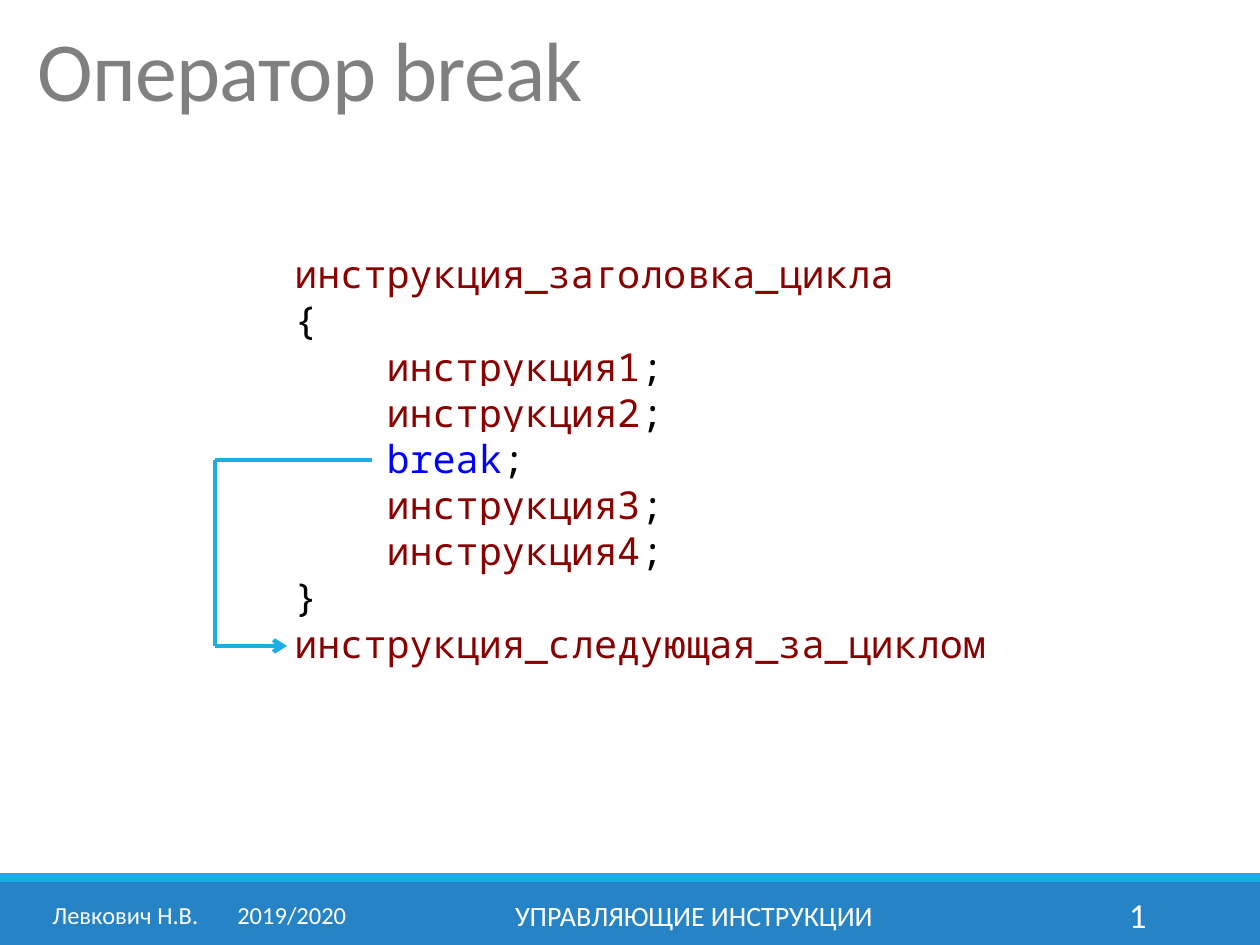
from dataclasses import dataclass
from typing import NamedTuple

from lxml import etree
from pptx import Presentation, util as u
from pptx.dml.color import RGBColor
from pptx.enum import shapes, text
from pptx.oxml.ns import qn

PX_PER_INCH = 126


@dataclass(frozen=True)
class Theme:
    bar: str = "2683C6"
    accent: str = "1CADE4"
    title: str = "808080"
    name: str = "880000"
    keyword: str = "0000FF"
    code: str = "000000"
    white: str = "FFFFFF"
    body_font: str = "Calibri"
    code_font: str = "Noto Sans Mono"
    title_size: int = 48
    code_size: int = 22
    line_width: float = 2.5


THEME = Theme()


class Box(NamedTuple):
    left: int
    top: int
    width: int
    height: int


class Token(NamedTuple):
    text: str
    color: str


class Segment(NamedTuple):
    start: tuple[int, int]
    end: tuple[int, int]
    arrow: bool = False


class Caption(NamedTuple):
    text: str
    box: Box
    size: int
    align: text.PP_ALIGN
    tab: int = 0


def px(value: int) -> u.Emu:
    return u.Emu(round(value * 914400 / PX_PER_INCH))


def place(box: Box) -> list[u.Emu]:
    return [px(value) for value in box]


def rgb(color: str) -> RGBColor:
    return RGBColor.from_string(color)


def style(run, font: str, size: int, color: str) -> None:
    run.font.name = font
    run.font.size = u.Pt(size)
    run.font.color.rgb = rgb(color)


def draw_bar(slide, box: Box, color: str) -> None:
    shape = slide.shapes.add_shape(shapes.MSO_SHAPE.RECTANGLE, *place(box))
    shape.shadow.inherit = False
    shape.fill.solid()
    shape.fill.fore_color.rgb = rgb(color)
    shape.line.fill.background()


def draw_title(slide, title: str, box: Box) -> None:
    shape = slide.shapes.title
    shape.left, shape.top, shape.width, shape.height = place(box)
    frame = shape.text_frame
    frame.text = title
    frame.vertical_anchor = text.MSO_ANCHOR.MIDDLE
    paragraph = frame.paragraphs[0]
    paragraph.alignment = text.PP_ALIGN.LEFT
    paragraph.line_spacing = 0.85
    run = paragraph.runs[0]
    style(run, THEME.body_font, THEME.title_size, THEME.title)
    run.font._element.set("spc", "-50")


def highlight(run, color: str) -> None:
    mark = etree.Element(qn("a:highlight"))
    etree.SubElement(mark, qn("a:srgbClr")).set("val", color)
    run.font._element.find(qn("a:solidFill")).addnext(mark)


def draw_code(slide, lines: list[list[Token]], box: Box) -> None:
    frame = slide.shapes.add_textbox(*place(box)).text_frame
    frame.word_wrap = True
    frame.auto_size = text.MSO_AUTO_SIZE.SHAPE_TO_FIT_TEXT
    for index, line in enumerate(lines):
        paragraph = frame.add_paragraph() if index else frame.paragraphs[0]
        for token in line:
            run = paragraph.add_run()
            run.text = token.text
            style(run, THEME.code_font, THEME.code_size, token.color)
            highlight(run, THEME.white)


def draw_segment(group, segment: Segment) -> None:
    connector = group.shapes.add_connector(
        shapes.MSO_CONNECTOR.STRAIGHT,
        *(px(value) for value in segment.start + segment.end))
    connector.line.color.rgb = rgb(THEME.accent)
    connector.line.width = u.Pt(THEME.line_width)
    if segment.arrow:
        line = connector.line._get_or_add_ln()
        etree.SubElement(line, qn("a:tailEnd")).set("type", "arrow")
    etree.SubElement(connector._element.spPr, qn("a:effectLst"))


def draw_caption(slide, caption: Caption) -> None:
    frame = slide.shapes.add_textbox(*place(caption.box)).text_frame
    frame.word_wrap = True
    frame.vertical_anchor = text.MSO_ANCHOR.MIDDLE
    frame.text = caption.text
    paragraph = frame.paragraphs[0]
    paragraph.alignment = caption.align
    if caption.tab:
        tabs = etree.SubElement(paragraph._p.get_or_add_pPr(), qn("a:tabLst"))
        tab = etree.SubElement(tabs, qn("a:tab"))
        tab.set("pos", str(px(caption.tab)))
        tab.set("algn", "l")
    for run in paragraph.runs:
        style(run, THEME.body_font, caption.size, THEME.white)


def statement(word: str, color: str = THEME.name) -> list[Token]:
    return [Token("    " + word, color), Token(";", THEME.code)]


CODE = [
    [Token("инструкция_заголовка_цикла", THEME.name)],
    [Token("{", THEME.code)],
    statement("инструкция1"),
    statement("инструкция2"),
    statement("break", THEME.keyword),
    statement("инструкция3"),
    statement("инструкция4"),
    [Token("}", THEME.code)],
    [Token("инструкция_следующая_за_циклом", THEME.name)],
]

# Jump from break to the statement after the loop
JUMP_LEFT, BREAK_Y, NEXT_Y = 215, 460, 646
JUMP = [
    Segment((372, BREAK_Y), (JUMP_LEFT, BREAK_Y)),
    Segment((JUMP_LEFT, BREAK_Y), (JUMP_LEFT, NEXT_Y)),
    Segment((JUMP_LEFT, NEXT_Y), (287, NEXT_Y), arrow=True),
]

FOOTER_TOP, FOOTER_HEIGHT = 890, 50
FOOTER = [
    Caption("Левкович Н.В.\t2019/2020", Box(40, FOOTER_TOP, 329, FOOTER_HEIGHT),
            14, text.PP_ALIGN.LEFT, tab=185),
    Caption("УПРАВЛЯЮЩИЕ ИНСТРУКЦИИ", Box(381, FOOTER_TOP, 626, FOOTER_HEIGHT),
            16, text.PP_ALIGN.CENTER),
    Caption("1", Box(1023, FOOTER_TOP, 136, FOOTER_HEIGHT),
            20, text.PP_ALIGN.RIGHT),
]


def main() -> None:
    presentation = Presentation()
    presentation.slide_width, presentation.slide_height = px(1260), px(945)
    slide = presentation.slides.add_slide(presentation.slide_layouts[5])

    # Footer bars
    draw_bar(slide, Box(0, 882, 1260, 63), THEME.bar)
    draw_bar(slide, Box(0, 873, 1260, 9), THEME.accent)

    # Title and code
    draw_title(slide, "Оператор break", Box(25, 3, 1201, 145))
    draw_code(slide, CODE, Box(282, 244, 748, 432))

    # Jump arrow
    group = slide.shapes.add_group_shape()
    for segment in JUMP:
        draw_segment(group, segment)

    # Footer captions
    for caption in FOOTER:
        draw_caption(slide, caption)

    presentation.save("out.pptx")


if __name__ == "__main__":
    main()
